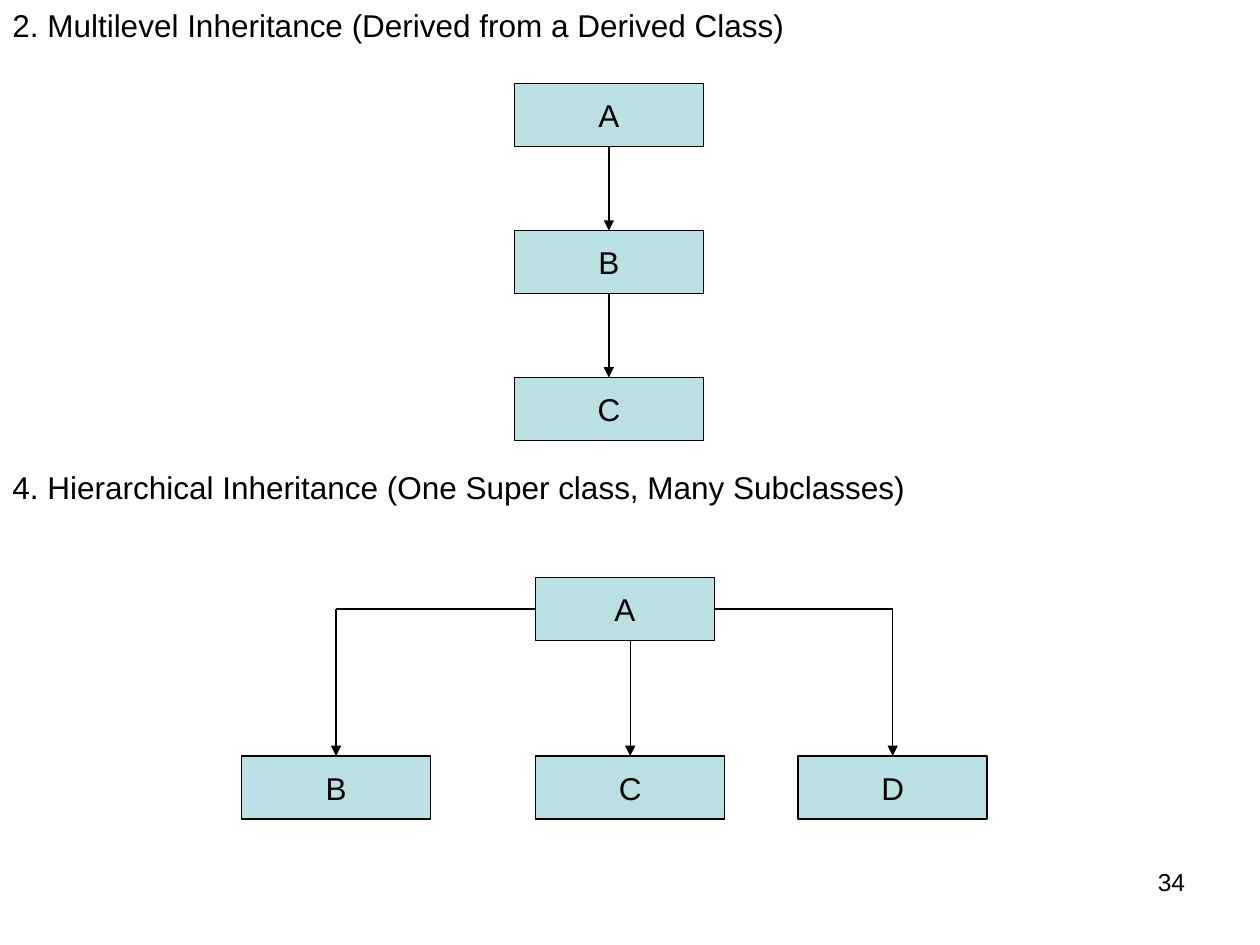
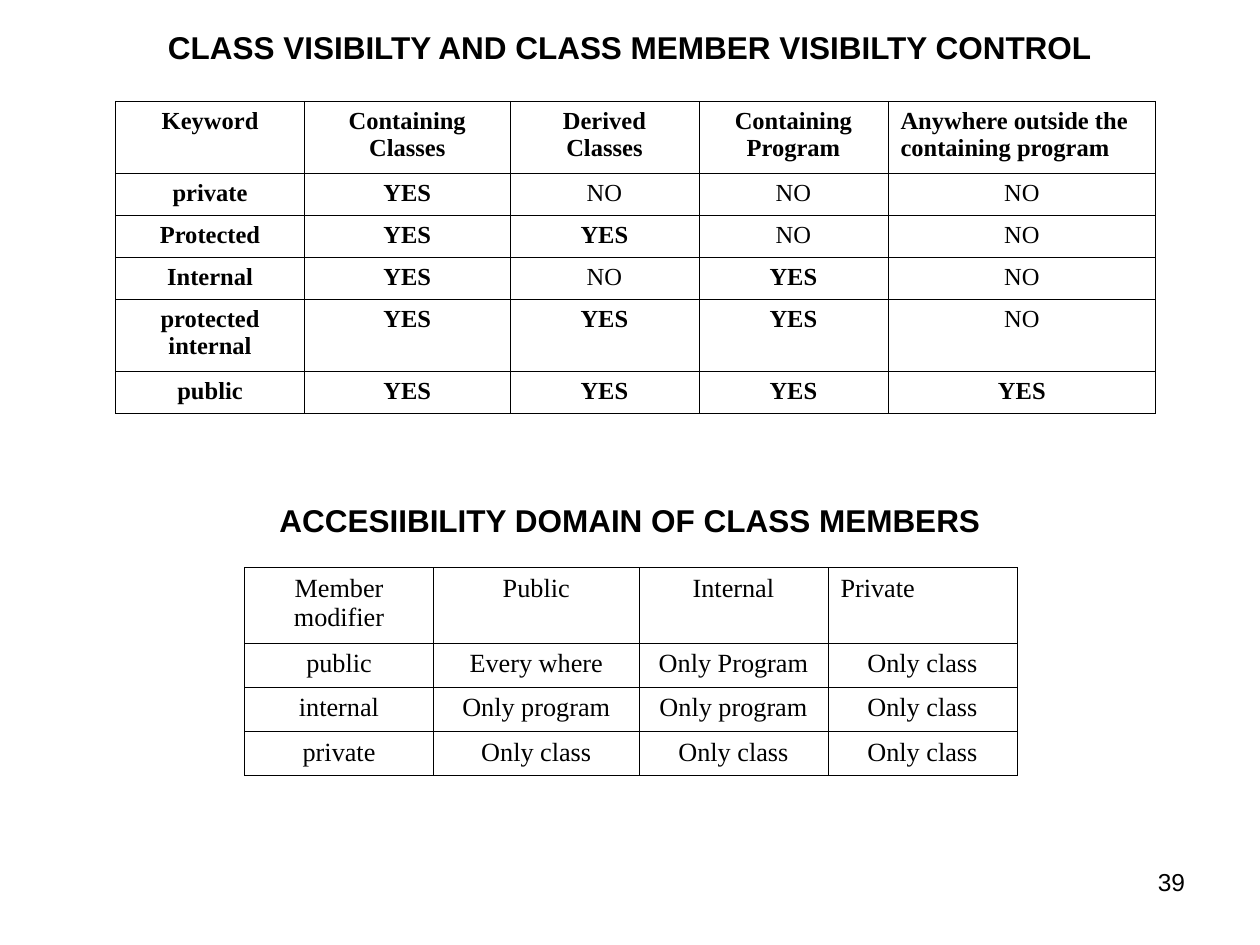
from lxml import etree
from pptx import Presentation
from pptx import util as u
from pptx.dml.color import RGBColor
from pptx.enum import shapes, text
from pptx.oxml import ns

COLOURS = {"ink": "000000", "class_fill": "BBE0E3"}
HEADING_FONT, TABLE_FONT = "Arial", "Times New Roman"
SLIDE_WIDTH, SLIDE_HEIGHT = 25.4, 19.05
CLASS_WIDTH, CLASS_HEIGHT = 3.81, 1.27
LINE_WIDTH, BORDER_WIDTH = 0.75, 0.45
CENTER, LEFT, RIGHT = text.PP_ALIGN.CENTER, text.PP_ALIGN.LEFT, text.PP_ALIGN.RIGHT
TOP_SIDE, LEFT_SIDE, BOTTOM_SIDE, RIGHT_SIDE = range(4)

VISIBILITY = [
    ["Keyword", "Containing Classes", "Derived Classes", "Containing Program",
     "Anywhere outside the containing program"],
    ["private", "YES", "NO", "NO", "NO"],
    ["Protected", "YES", "YES", "NO", "NO"],
    ["Internal", "YES", "NO", "YES", "NO"],
    ["protected internal", "YES", "YES", "YES", "NO"],
    ["public", "YES", "YES", "YES", "YES"],
]
ACCESSIBILITY = [
    ["Member modifier", "Public", "Internal", "Private"],
    ["public", "Every where", "Only Program", "Only class"],
    ["internal", "Only program", "Only program", "Only class"],
    ["private", "Only class", "Only class", "Only class"],
]


def colour(name):
    return RGBColor.from_string(COLOURS[name])


def write(frame, words, size=18, font=HEADING_FONT, bold=False, align=LEFT):
    frame.text = words
    para = frame.paragraphs[0]
    para.alignment = align
    for span in para.runs:
        span.font.name = font
        span.font.size = u.Pt(size)
        span.font.bold = bold
        span.font.color.rgb = colour("ink")


def add_text(page, words, left, top, width, height=1.02, wrap=True, **style):
    box = page.shapes.add_textbox(u.Cm(left), u.Cm(top), u.Cm(width), u.Cm(height))
    box.text_frame.word_wrap = wrap
    write(box.text_frame, words, **style)
    return box


def add_title(page, words, top, width):
    """Bold title centred on the slide."""
    box = add_text(page, words, (SLIDE_WIDTH - width) / 2, top, width,
                   wrap=False, bold=True, align=CENTER)
    box.text_frame.vertical_anchor = text.MSO_ANCHOR.MIDDLE


def add_page_number(page, number):
    add_text(page, str(number), 18.21, 17.36, 5.93, 1.32, size=14, align=RIGHT)


def add_class(page, name, left, top, width=CLASS_WIDTH):
    box = page.shapes.add_shape(shapes.MSO_SHAPE.RECTANGLE, u.Cm(left), u.Cm(top),
                                u.Cm(width), u.Cm(CLASS_HEIGHT))
    box.shadow.inherit = False
    box.fill.solid()
    box.fill.fore_color.rgb = colour("class_fill")
    box.line.color.rgb = colour("ink")
    box.line.width = u.Pt(LINE_WIDTH)
    box.text_frame.word_wrap = False
    box.text_frame.vertical_anchor = text.MSO_ANCHOR.MIDDLE
    write(box.text_frame, name, align=CENTER)
    return box


def add_line(page, start, end, arrow=False):
    """Line between two ends, each a point or a (box, side) pair."""
    line = page.shapes.add_connector(shapes.MSO_CONNECTOR.STRAIGHT, 0, 0, 0, 0)
    if isinstance(start[0], int):
        line.begin_x, line.begin_y = start
    else:
        line.begin_connect(*start)
    if isinstance(end[0], int):
        line.end_x, line.end_y = end
    else:
        line.end_connect(*end)
    line.line.color.rgb = colour("ink")
    line.line.width = u.Pt(LINE_WIDTH)
    if arrow:
        etree.SubElement(line.line._get_or_add_ln(), ns.qn("a:tailEnd"), type="triangle")
    etree.SubElement(line._element.spPr, ns.qn("a:effectLst"))


def add_borders(cell):
    properties = cell._tc.get_or_add_tcPr()
    for side in ("a:lnL", "a:lnR", "a:lnT", "a:lnB"):
        border = etree.SubElement(properties, ns.qn(side), w=str(u.Pt(BORDER_WIDTH)))
        fill = etree.SubElement(border, ns.qn("a:solidFill"))
        etree.SubElement(fill, ns.qn("a:srgbClr"), val=COLOURS["ink"])


def add_grid(page, rows, left, top, widths, heights, size, is_bold):
    """Bordered table; every cell is centred but the last header."""
    table = page.shapes.add_table(len(rows), len(widths), u.Cm(left), u.Cm(top),
                                  u.Cm(sum(widths)), u.Cm(sum(heights))).table
    table.first_row = table.horz_banding = False
    for column, width in zip(table.columns, widths):
        column.width = u.Cm(width)
    for row, height in zip(table.rows, heights):
        row.height = u.Cm(height)
    for r, words in enumerate(rows):
        for c, word in enumerate(words):
            cell = table.cell(r, c)
            add_borders(cell)
            cell.fill.background()
            last_header = r == 0 and c == len(widths) - 1
            write(cell.text_frame, word, size, TABLE_FONT, is_bold(r, c, word),
                  LEFT if last_header else CENTER)


def add_multilevel(page):
    add_text(page, "2. Multilevel Inheritance (Derived from a Derived Class)", 0, 0, 16.31)
    chain = [add_class(page, name, 10.37, 1.69 + 2.96 * level)
             for level, name in enumerate("ABC")]
    for parent, child in zip(chain, chain[1:]):
        add_line(page, (parent, BOTTOM_SIDE), (child, TOP_SIDE), arrow=True)


def add_hierarchy(page):
    add_text(page, "4. Hierarchical Inheritance (One Super class, Many Subclasses)",
             0, 9.31, 18.85)
    parent = add_class(page, "A", 10.8, 11.64, width=3.6)
    middle = parent.top + parent.height // 2
    branches = [("B", 4.87, LEFT_SIDE), ("C", 10.8, BOTTOM_SIDE), ("D", 16.09, RIGHT_SIDE)]
    for name, left, side in branches:
        child = add_class(page, name, left, 15.24)
        center = child.left + child.width // 2
        if side == BOTTOM_SIDE:
            start = (center, parent.top + parent.height)
        else:
            start = (center, middle)
            add_line(page, (parent, side), start)
        add_line(page, start, (child, TOP_SIDE), arrow=True)


def main():
    deck = Presentation()
    deck.slide_width, deck.slide_height = u.Cm(SLIDE_WIDTH), u.Cm(SLIDE_HEIGHT)
    blank = deck.slide_layouts[6]

    # Kinds of inheritance
    page = deck.slides.add_slide(blank)
    add_multilevel(page)
    add_hierarchy(page)
    add_page_number(page, 34)

    # Visibility and accessibility tables
    page = deck.slides.add_slide(blank)
    add_title(page, "CLASS VISIBILTY AND CLASS MEMBER VISIBILTY CONTROL", 0.43, 19.28)
    add_grid(page, VISIBILITY, 2.33, 2.04, [3.81, 4.14, 3.81, 3.81, 5.4],
             [1.45, 0.85, 0.85, 0.85, 1.45, 0.85], 14,
             lambda r, c, word: r == 0 or c == 0 or word == "YES")
    add_title(page, "ACCESIIBILITY DOMAIN OF CLASS MEMBERS", 9.98, 14.66)
    add_grid(page, ACCESSIBILITY, 4.93, 11.44, [3.81, 4.14, 3.81, 3.81],
             [1.52, 0.89, 0.89, 0.89], 15, lambda r, c, word: False)
    add_page_number(page, 39)

    deck.save("out.pptx")


if __name__ == "__main__":
    main()
